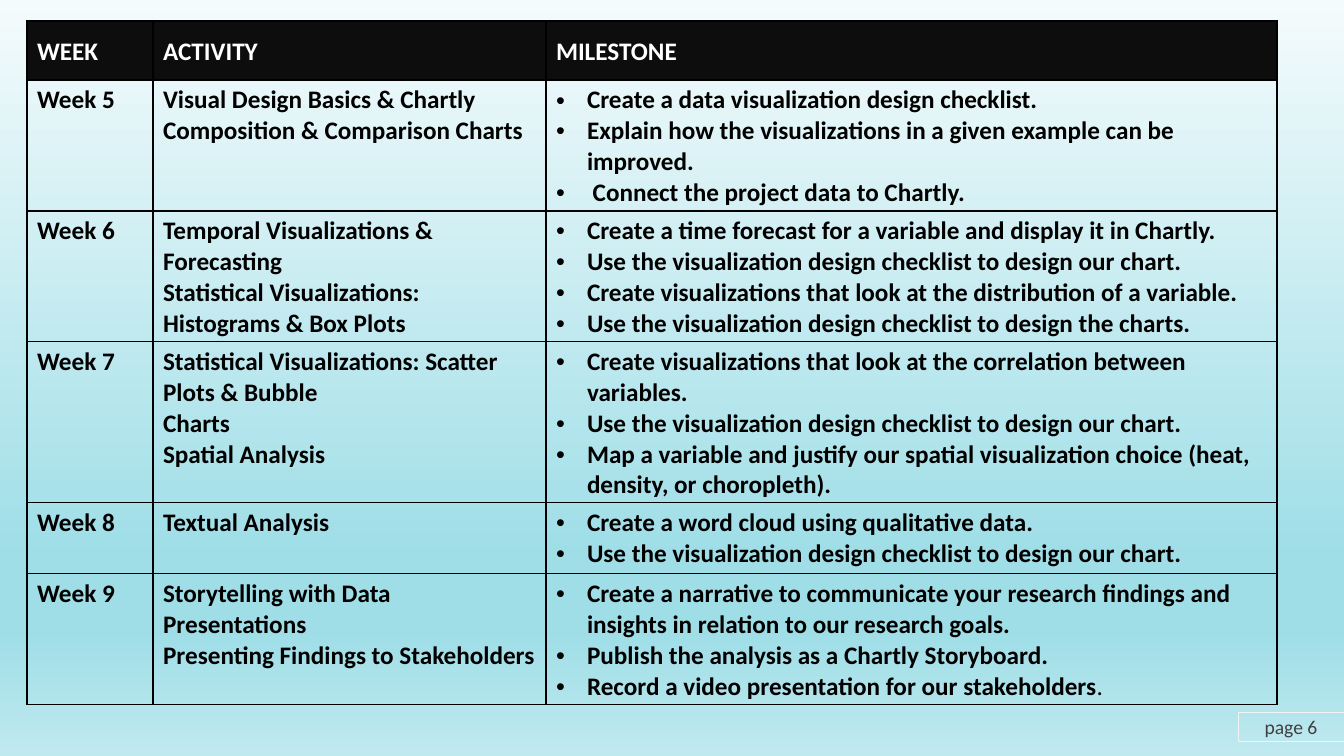
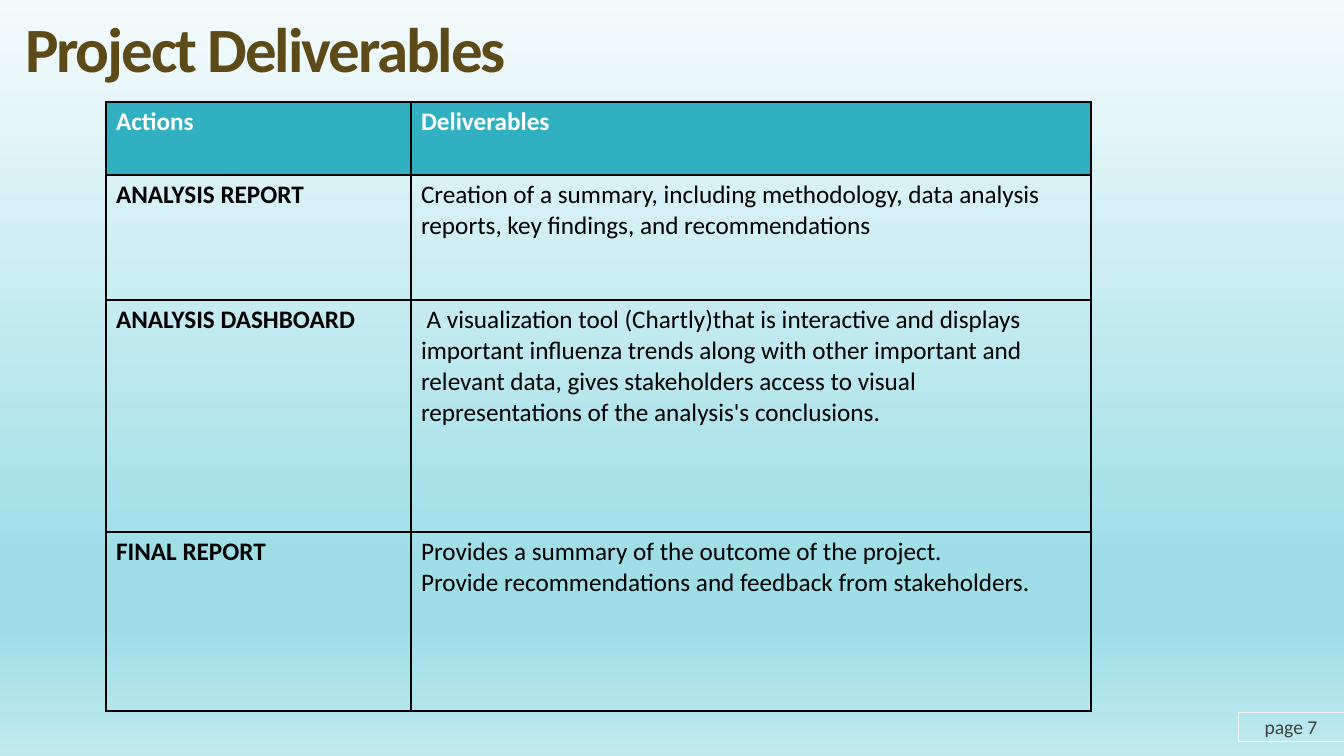
import pptx
import pptx.dml.color
import pptx.enum.shapes
import pptx.enum.text
import pptx.oxml
import pptx.oxml.ns
import pptx.util

RGB = pptx.dml.color.RGBColor
Pt = pptx.util.Pt
Align = pptx.enum.text.PP_ALIGN
Anchor = pptx.enum.text.MSO_ANCHOR
qn = pptx.oxml.ns.qn

BLACK = RGB(0x00, 0x00, 0x00)
WHITE = RGB(0xFF, 0xFF, 0xFF)
INK = RGB(0x0D, 0x0D, 0x0D)
TEAL = RGB(0x31, 0xB0, 0xC1)
BROWN = RGB(0x5E, 0x49, 0x18)
GREY = RGB(0x40, 0x40, 0x40)
PALE = RGB(0xF2, 0xF2, 0xF2)
SKY = [
    (0, RGB(0xF4, 0xFB, 0xFC)),
    (74, RGB(0x9F, 0xDE, 0xE7)),
    (83, RGB(0x9F, 0xDE, 0xE7)),
    (100, RGB(0xBF, 0xE9, 0xEF)),
]
FONT = "Calibri"
NO_STYLE = "{2D5ABB26-0587-4C30-8999-92F81FD0307C}"
CHECKLIST = "Use the visualization design checklist to design our chart."

SCHEDULE = [
    ("WEEK", "ACTIVITY", "MILESTONE"),
    ("Week 5",
     ["Visual Design Basics & Chartly", "Composition & Comparison Charts"],
     ["Create a data visualization design checklist.",
      "Explain how the visualizations in a given example can be improved.",
      " Connect the project data to Chartly."]),
    ("Week 6",
     ["Temporal Visualizations & Forecasting",
      "Statistical Visualizations: Histograms & Box Plots"],
     ["Create a time forecast for a variable and display it in Chartly.",
      CHECKLIST,
      "Create visualizations that look at the distribution of a variable.",
      "Use the visualization design checklist to design the charts."]),
    ("Week 7",
     ["Statistical Visualizations: Scatter Plots & Bubble", "Charts", "Spatial Analysis"],
     ["Create visualizations that look at the correlation between variables.",
      CHECKLIST,
      "Map a variable and justify our spatial visualization choice "
      "(heat, density, or choropleth)."]),
    ("Week 8", "Textual Analysis",
     ["Create a word cloud using qualitative data.", CHECKLIST]),
    ("Week 9",
     ["Storytelling with Data Presentations", "Presenting Findings to Stakeholders"],
     ["Create a narrative to communicate your research findings and insights "
      "in relation to our research goals.",
      "Publish the analysis as a Chartly Storyboard.",
      ("Record a video presentation for our stakeholders", ".")]),
]

DELIVERABLES = [
    ("Actions", "Deliverables"),
    ("ANALYSIS REPORT",
     "Creation of a summary, including methodology, data analysis reports, "
     "key findings, and recommendations"),
    ("ANALYSIS DASHBOARD",
     " A visualization tool (Chartly)that is interactive and displays important "
     "influenza trends along with other important and relevant data, gives "
     "stakeholders access to visual representations of the analysis's conclusions."),
    ("FINAL REPORT",
     ["Provides a summary of the outcome of the project.",
      "Provide recommendations and feedback from stakeholders."]),
]


def px(length):
    """Turn px into EMU."""
    return pptx.util.Emu(round(length * 914400 / 100.8))


def write(frame, lines, size=18, color=BLACK, bold=False, align=Align.LEFT,
          bullet=False, tracking=None, leading=None):
    """Fill a frame with paragraphs; runs after the first in a tuple are not bold."""
    frame.word_wrap = True
    for number, line in enumerate([lines] if isinstance(lines, str) else lines):
        paragraph = frame.add_paragraph() if number else frame.paragraphs[0]
        paragraph.alignment = align
        if leading:
            paragraph.line_spacing = leading
        if bullet:
            properties = paragraph._p.get_or_add_pPr()
            properties.set("marL", str(px(31)))
            properties.set("indent", str(-px(31)))
            properties.append(pptx.oxml.parse_xml(
                f'<a:buFont {pptx.oxml.ns.nsdecls("a")} typeface="Arial"/>'))
            properties.append(pptx.oxml.parse_xml(
                f'<a:buChar {pptx.oxml.ns.nsdecls("a")} char="•"/>'))
        for position, text in enumerate((line,) if isinstance(line, str) else line):
            run = paragraph.add_run()
            run.text = text
            run.font.name = FONT
            run.font.size = Pt(size)
            run.font.color.rgb = color
            run.font.bold = bold and position == 0
            if tracking is not None:
                run.font._element.set("spc", str(tracking))


class Deck:
    """Holds the shared style and the current slide."""

    def __init__(self):
        """Set the slide size and the shared background."""
        self.file = pptx.Presentation()
        self.file.slide_width, self.file.slide_height = px(1344), px(756)
        master = self.file.slide_master
        sky = master.background.fill
        sky.gradient()
        sky.gradient_angle = 270
        stops = next(master.element.iter(qn("a:gsLst")))
        for stop in list(stops):
            stops.remove(stop)
        for percent, color in SKY:
            stops.append(pptx.oxml.parse_xml(
                f'<a:gs {pptx.oxml.ns.nsdecls("a")} pos="{percent * 1000}">'
                f'<a:srgbClr val="{color}"/></a:gs>'))

    def new_slide(self, page, title=None):
        """Start a slide with its page tag and optional title."""
        layout = self.file.slide_layouts[5 if title else 6]
        self.slide = self.file.slides.add_slide(layout)
        if title:
            self.title(title)
        self.page_tag(page)

    def clear_insets(self, frame):
        """Remove the inner margins of a text frame."""
        frame.margin_left = frame.margin_right = 0
        frame.margin_top = frame.margin_bottom = 0

    def title(self, text):
        """Place and format the title placeholder."""
        heading = self.slide.shapes.title
        heading.left, heading.top = px(25), px(18)
        heading.width, heading.height = px(1193), px(72)
        frame = heading.text_frame
        self.clear_insets(frame)
        frame.auto_size = pptx.enum.text.MSO_AUTO_SIZE.NONE
        frame.vertical_anchor = Anchor.TOP
        write(frame, text, size=45, color=BROWN, bold=True, tracking=-150, leading=0.9)

    def page_tag(self, page):
        """Draw the outlined page number in the bottom right corner."""
        tag = self.slide.shapes.add_shape(
            pptx.enum.shapes.MSO_SHAPE.RECTANGLE, px(1238), px(712), px(106), px(29))
        tag.shadow.inherit = False
        tag.fill.background()
        tag.line.color.rgb = PALE
        tag.line.width = Pt(0.25)
        self.clear_insets(tag.text_frame)
        tag.text_frame.vertical_anchor = Anchor.MIDDLE
        write(tag.text_frame, f"page {page}", size=14, color=GREY, align=Align.CENTER)

    def border(self, cell):
        """Give a cell a thin black line on every side."""
        properties = cell._tc.get_or_add_tcPr()
        for order, side in enumerate("LRTB"):
            properties.insert(order, pptx.oxml.parse_xml(
                f'<a:ln{side} {pptx.oxml.ns.nsdecls("a")} w="{Pt(1)}"><a:solidFill>'
                f'<a:srgbClr val="{BLACK}"/></a:solidFill></a:ln{side}>'))

    def table(self, left, top, widths, heights, content, header_fill,
              header_anchor=Anchor.TOP, bold_columns=(0,), bullet_column=None):
        """Draw a bordered table with a filled header row."""
        grid = self.slide.shapes.add_table(
            len(heights), len(widths), px(left), px(top),
            px(sum(widths)), px(sum(heights))).table
        grid.first_row = grid.horz_banding = False
        next(grid._tbl.iter(qn("a:tableStyleId"))).text = NO_STYLE
        for column, width in zip(grid.columns, widths):
            column.width = px(width)
        for r, (height, texts) in enumerate(zip(heights, content)):
            grid.rows[r].height = px(height)
            header = r == 0
            for c, text in enumerate(texts):
                cell = grid.cell(r, c)
                cell.margin_top, cell.margin_bottom = px(5), px(2)
                if header:
                    cell.fill.solid()
                    cell.fill.fore_color.rgb = header_fill
                    cell.vertical_anchor = header_anchor
                else:
                    cell.fill.background()
                self.border(cell)
                write(cell.text_frame, text, color=WHITE if header else BLACK,
                      bold=header or c in bold_columns,
                      bullet=not header and c == bullet_column)


def main():
    """Build and save the two slides."""
    deck = Deck()
    deck.new_slide(6)
    deck.table(27, 21, [126, 393, 731], [59, 131, 131, 161, 71, 131], SCHEDULE, INK,
               header_anchor=Anchor.MIDDLE, bold_columns=(0, 1, 2), bullet_column=2)
    deck.new_slide(7, "Project Deliverables")
    deck.table(106, 102, [305, 680], [73, 125, 232, 179], DELIVERABLES, TEAL)
    deck.file.save("out.pptx")


if __name__ == "__main__":
    main()
